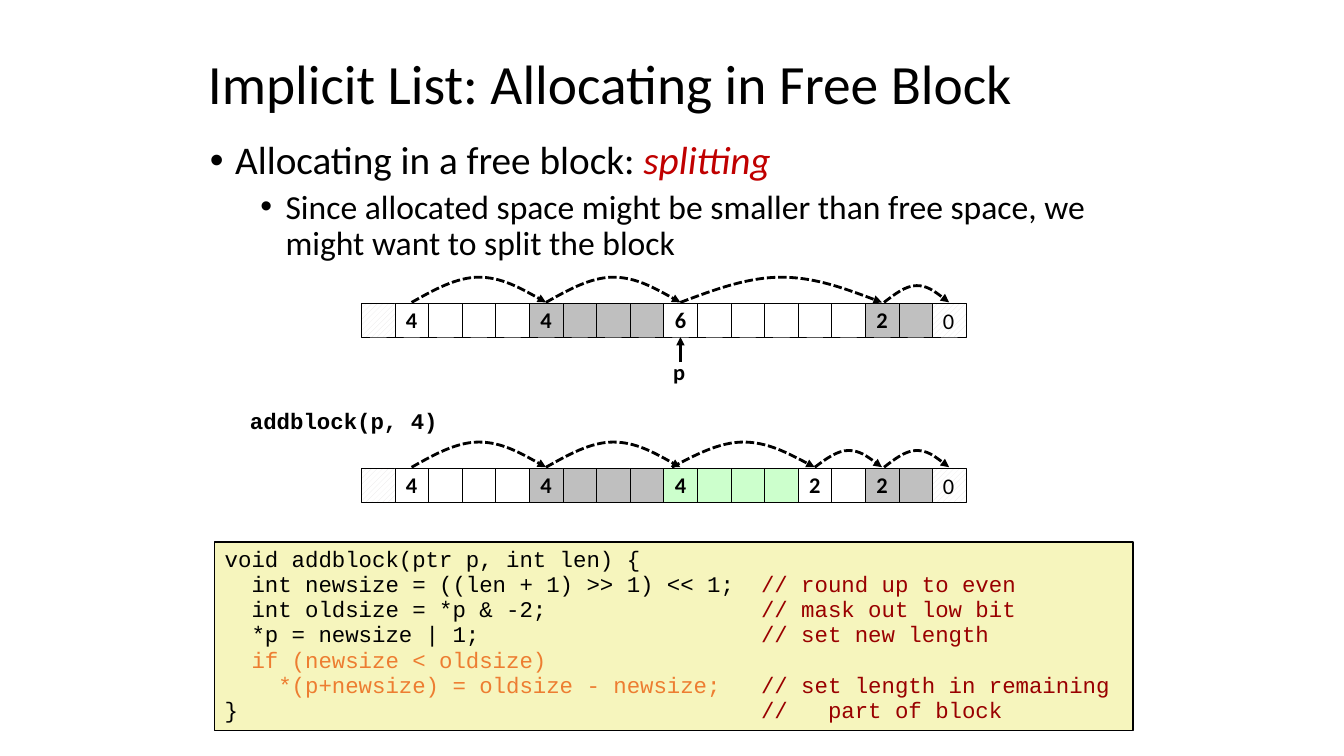
import pptx
import pptx.util
import pptx.dml.color
import pptx.enum.dml
import pptx.enum.shapes
import pptx.enum.text
import pptx.oxml
import pptx.oxml.ns

PX = 9525
CELL = 32
ROW_LEFT = 344
WHITE, BLACK, GRAY, SILVER, GREEN = "FFFFFF", "000000", "BFBFBF", "C0C0C0", "CCFFCC"
RED, ORANGE, CREAM, HATCH = "990000", "ED7D31", "F6F5BD", "E7E6E6"
MIDDLE = pptx.enum.text.MSO_ANCHOR.MIDDLE
CENTER = pptx.enum.text.PP_ALIGN.CENTER
LEFT = pptx.enum.text.PP_ALIGN.LEFT


def rgb(value):
    return pptx.dml.color.RGBColor.from_string(value)


def element(parent, tag, **attrs):
    e = pptx.oxml.parse_xml(f"<a:{tag} {pptx.oxml.ns.nsdecls('a')}/>")
    for name, value in attrs.items():
        e.set(name, value)
    parent.append(e)
    return e


class Deck:
    font = "Calibri"
    mono = "Courier New"

    def __init__(self, width, height):
        self.prs = pptx.Presentation()
        self.prs.slide_width, self.prs.slide_height = width * PX, height * PX
        self.s = self.prs.slides.add_slide(self.prs.slide_layouts[6])

    def fill_text(self, sp, paragraphs, size=16, font=None, bold=False, spacing=0.98,
                  align=LEFT, anchor=pptx.enum.text.MSO_ANCHOR.TOP, wrap=False, inset=10):
        tf = sp.text_frame
        frame = {"word_wrap": wrap, "vertical_anchor": anchor,
                 "margin_left": inset * PX, "margin_right": inset * PX,
                 "margin_top": 5 * PX, "margin_bottom": 5 * PX}
        for name, value in frame.items():
            setattr(tf, name, value)
        for i, runs in enumerate(paragraphs):
            p = tf.paragraphs[0] if i == 0 else tf.add_paragraph()
            for name, value in {"alignment": align, "line_spacing": spacing}.items():
                setattr(p, name, value)
            for text, color in runs:
                r = p.add_run()
                r.text = text
                style = {"size": pptx.util.Pt(size), "name": font or self.font, "bold": bold}
                for name, value in style.items():
                    setattr(r.font, name, value)
                r.font.color.rgb = rgb(color)
        return tf

    def text(self, x, y, w, h, paragraphs, **style):
        sp = self.s.shapes.add_textbox(x * PX, y * PX, w * PX, h * PX)
        return self.fill_text(sp, paragraphs, **style)

    def rect(self, x, y, w, h, fill, width=0.25, hatched=False):
        sp = self.s.shapes.add_shape(pptx.enum.shapes.MSO_SHAPE.RECTANGLE,
                                     x * PX, y * PX, w * PX, h * PX)
        sp.shadow.inherit = False
        if hatched:
            sp.fill.patterned()
            sp.fill.pattern = pptx.enum.dml.MSO_PATTERN.WIDE_UPWARD_DIAGONAL
            sp.fill.fore_color.rgb = rgb(HATCH)
            sp.fill.back_color.rgb = rgb(fill)
        else:
            sp.fill.solid()
            sp.fill.fore_color.rgb = rgb(fill)
        sp.line.color.rgb = rgb(BLACK)
        sp.line.width = pptx.util.Pt(width)
        return sp

    def arrow_line(self, sp, dash=None):
        sp.line.color.rgb = rgb(BLACK)
        sp.line.width = pptx.util.Pt(2)
        if dash:
            sp.line.dash_style = dash
        element(sp._element.spPr.find(pptx.oxml.ns.qn("a:ln")), "tailEnd", type="triangle")

    def arc(self, x, y, w, h):
        rises = (h / 2, 0, 0, 0, h / 2, h)
        points = [((x + w * i / 6) * PX, (y + rise) * PX) for i, rise in enumerate(rises, 1)]
        builder = self.s.shapes.build_freeform(x * PX, (y + h) * PX, scale=1)
        builder.add_line_segments(points, close=False)
        sp = builder.convert_to_shape()
        sp.shadow.inherit = False
        sp.fill.background()
        outline = sp._element.find(".//" + pptx.oxml.ns.qn("a:path"))
        segments = outline.findall(pptx.oxml.ns.qn("a:lnTo"))
        for start in (0, 3):
            curve = element(outline, "cubicBezTo")
            for segment in segments[start:start + 3]:
                curve.append(segment[0])
                outline.remove(segment)
        self.arrow_line(sp, pptx.enum.dml.MSO_LINE.SQUARE_DOT)

    def pointer(self, x, y, target):
        sp = self.s.shapes.add_connector(pptx.enum.shapes.MSO_CONNECTOR.STRAIGHT,
                                         x * PX, y * PX, x * PX, target.top + target.height)
        sp.end_connect(target, 2)
        self.arrow_line(sp)
        element(sp._element.spPr, "effectLst")

    def bullets(self, x, y, w, h, items):
        tf = self.text(x, y, w, h, [runs for _, runs in items], spacing=0.9, wrap=True)
        for level, (p, (size, _)) in enumerate(zip(tf.paragraphs, items)):
            pPr = p._p.get_or_add_pPr()
            pPr.set("marL", str((24 + 48 * level) * PX))
            pPr.set("indent", str(-24 * PX))
            p.space_before = pptx.util.Pt(5 * level)
            element(pPr, "buFont", typeface="Arial")
            element(pPr, "buChar", char="•")
            for r in p.runs:
                r.font.size = pptx.util.Pt(size)
        return tf

    def heap(self, y, blocks):
        headers = []
        self.rect(ROW_LEFT, y, CELL, CELL, WHITE, hatched=True)
        x = ROW_LEFT + CELL
        for size, fill, _ in blocks:
            cells = [self.rect(x + i * CELL, y, CELL, CELL, fill) for i in range(size)]
            self.fill_text(cells[0], [[(str(size), BLACK)]], bold=True, align=CENTER,
                           anchor=MIDDLE)
            headers.append(cells[0])
            x += size * CELL
        end = self.rect(x, y, CELL, CELL, WHITE, hatched=True)
        self.fill_text(end, [[("0", BLACK)]], anchor=MIDDLE, spacing=1.0)
        x = ROW_LEFT + CELL + CELL // 2
        for size, _, nudge in blocks:
            height = 24 if size > 2 else 16
            self.arc(x + nudge, y - 1 - height, size * CELL - nudge, height)
            x += size * CELL
        return headers


def main():
    d = Deck(1280, 720)
    d.text(188, 52, 904, 60, [[("Implicit List: Allocating in Free Block", BLACK)]],
           size=39.6, spacing=0.9, anchor=MIDDLE, wrap=True)
    tf = d.bullets(190, 129, 873, 548, [
        (28, [("Allocating in a free block: ", BLACK), ("splitting", "C00000")]),
        (24, [("Since allocated space might be smaller than free space, "
               "we might want to split the block", BLACK)])])
    tf.paragraphs[0].runs[1].font.italic = True

    code = [
        [("void addblock(ptr p, int len) {", BLACK)],
        [("  int newsize = ((len + 1) >> 1) << 1;  ", BLACK), ("// round up to even", RED)],
        [("  int oldsize = *p & -2;                ", BLACK), ("// mask out low bit", RED)],
        [("  *p = newsize | 1;                     ", BLACK), ("// set new length", RED)],
        [("  if (newsize < oldsize)", ORANGE)],
        [("    *(p+newsize) = oldsize - newsize;   ", ORANGE),
         ("// set length in remaining", RED)],
        [("}                                       ", BLACK), ("//   part of block", RED)]]
    d.fill_text(d.rect(204, 516, 875, 180, CREAM, width=1), code, font=d.mono, spacing=0.94)

    before = d.heap(289, [(4, WHITE, 0), (4, GRAY, 0), (6, WHITE, 0), (2, SILVER, 2)])
    d.pointer(648, 345, before[2])
    d.text(631, 337, 31, 36, [[("p", BLACK)]], bold=True)
    d.text(232, 387, 191, 33, [[("addblock(p, 4)", BLACK)]], font=d.mono, bold=True,
           spacing=0.85, align=CENTER, inset=5)
    d.heap(446, [(4, WHITE, 0), (4, GRAY, 0), (4, GREEN, -8), (2, WHITE, 0), (2, SILVER, 2)])
    d.prs.save("out.pptx")


if __name__ == "__main__":
    main()
